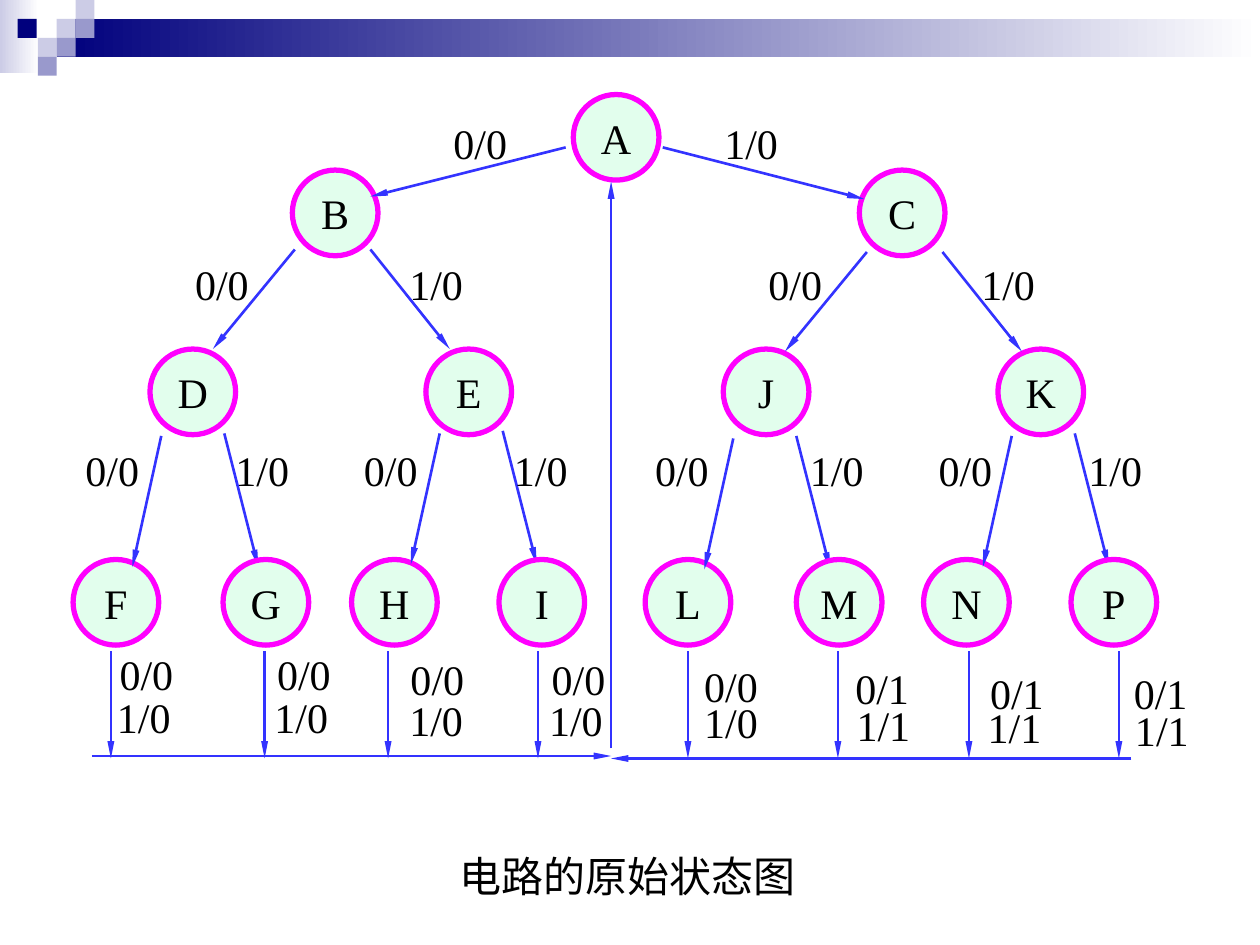
from lxml.etree import SubElement
from pptx import Presentation
from pptx.dml.color import RGBColor
from pptx.enum.shapes import MSO_CONNECTOR, MSO_SHAPE
from pptx.enum.text import MSO_ANCHOR, MSO_AUTO_SIZE, PP_ALIGN
from pptx.oxml.ns import qn
from pptx.util import Emu, Pt

PX = 9144
FONT = "Times New Roman"
COLORS = {
    "navy": "00007D", "lilac": "CCCCE6", "violet": "9999CC", "white": "FFFFFF",
    "mint": "E2FEED", "magenta": "FF00FF", "arrow": "3333FF", "text": "000000",
}
SQUARES = [
    (45, 15, "lilac"), (60, 0, "lilac"), (60, 15, "violet"), (30, 30, "lilac"),
    (14, 15, "navy"), (45, 30, "violet"), (30, 45, "violet"),
]
LEAF_Y = 444
NODES = {
    "A": (455, 75), "B": (232, 135), "C": (682, 135),
    "D": (119, 277), "E": (338, 277), "J": (574, 277), "K": (792, 277),
    "F": (58, LEAF_Y), "H": (279, LEAF_Y), "L": (512, LEAF_Y), "N": (733, LEAF_Y),
}
RIGHT_LEAVES = {"G": 177, "I": 396, "M": 632, "P": 850}
UPPER_FORKS = [(234, 198), (688, 200)]
LOWER_FORKS = [(128, 346), (349, 344), (582, 348), (803, 346)]
EXIT_XS = [88, 210, 308, 427, 546, 665, 769, 888]
BRANCH_LABELS = [
    (350, 565, 88, 62), (145, 315, 200, 70), (600, 769, 200, 70),
    (58, 177, 348, 62), (279, 398, 348, 62), (510, 633, 348, 62), (735, 854, 348, 62),
]
EXIT_LABELS = [
    (0, 85, 510, 83, 544, 62), (0, 210, 510, 208, 544, 62),
    (0, 316, 514, 315, 546, 70), (0, 428, 514, 426, 546, 70),
    (0, 549, 519, 549, 548, 70), (1, 669, 521, 670, 550, 70),
    (1, 776, 525, 774, 552, 70), (1, 890, 525, 891, 554, 70),
]


def px(*values):
    """Turn px lengths into EMU."""
    return [Emu(v * PX) for v in values]


def rgb(name):
    """Look up a colour by name."""
    return RGBColor.from_string(COLORS[name])


def write(tf, text, size=24, color="text", align=PP_ALIGN.LEFT, anchor=MSO_ANCHOR.TOP, wrap=False):
    """Put one formatted line of text in a text frame."""
    tf.word_wrap = wrap
    tf.vertical_anchor = anchor
    p = tf.paragraphs[0]
    p.alignment = align
    r = p.add_run()
    r.text = text
    r.font.size = Pt(size)
    r.font.name = FONT
    r.font.color.rgb = rgb(color)


def add_rect(s, x, y, w, h, color, fade=False):
    """Add a borderless rectangle, optionally fading to white."""
    sp = s.shapes.add_shape(MSO_SHAPE.RECTANGLE, *px(x, y, w, h))
    sp.shadow.inherit = False
    sp.line.fill.background()
    if fade:
        sp.fill.gradient()
        sp.fill.gradient_angle = 0
        for stop, position, name in zip(sp.fill.gradient_stops, (0, 1), (color, "white")):
            stop.position = position
            stop.color.rgb = rgb(name)
    else:
        sp.fill.solid()
        sp.fill.fore_color.rgb = rgb(color)


def add_node(s, name, x, y):
    """Add a state circle."""
    sp = s.shapes.add_shape(MSO_SHAPE.OVAL, *px(x, y, 68, 68))
    sp.shadow.inherit = False
    sp.fill.solid()
    sp.fill.fore_color.rgb = rgb("mint")
    sp.line.color.rgb = rgb("magenta")
    sp.line.width = Pt(3)
    write(sp.text_frame, name, align=PP_ALIGN.CENTER, anchor=MSO_ANCHOR.MIDDLE)


def add_arrow(s, x1, y1, x2, y2):
    """Add a straight arrow."""
    cn = s.shapes.add_connector(MSO_CONNECTOR.STRAIGHT, *px(x1, y1, x2, y2))
    cn.line.color.rgb = rgb("arrow")
    cn.line.width = Pt(1.5)
    SubElement(cn.line._get_or_add_ln(), qn("a:tailEnd"), type="triangle", w="sm", len="lg")
    SubElement(cn._element.spPr, qn("a:effectLst"))


def add_label(s, text, x, y, w):
    """Add a one-line text box."""
    tf = s.shapes.add_textbox(*px(x, y, w, 50)).text_frame
    tf.auto_size = MSO_AUTO_SIZE.SHAPE_TO_FIT_TEXT
    tf.margin_right = 0
    write(tf, text, wrap=True)


def add_banner(s):
    """Draw the gradient bar and its squares."""
    add_rect(s, 0, 0, 31, 58, "lilac", fade=True)
    add_rect(s, 45, 15, 955, 30, "navy", fade=True)
    for x, y, color in SQUARES:
        add_rect(s, x, y, 15, 15, color)


def add_transitions(s):
    """Draw the arrows between states and back to the start."""
    add_arrow(s, 449, 117, 294, 156)
    add_arrow(s, 526, 117, 686, 158)
    for x, y in UPPER_FORKS:
        add_arrow(s, x, y, x - 65, y + 79)
        add_arrow(s, x + 60, y, x + 123, y + 79)
    for x, y in LOWER_FORKS:
        add_arrow(s, x, y, x - 23, y + 104)
        add_arrow(s, x + 50, y - 2, x + 77, y + 104)
    for x in EXIT_XS:
        add_arrow(s, x, 517, x, 602)
    add_arrow(s, 485, 594, 485, 144)
    add_arrow(s, 73, 600, 485, 600)
    add_arrow(s, 898, 602, 485, 602)


def add_labels(s):
    """Write the input/output labels."""
    for left, right, y, right_w in BRANCH_LABELS:
        add_label(s, "0/0", left, y, 62)
        add_label(s, "1/0", right, y, right_w)
    for out, x0, y0, x1, y1, w in EXIT_LABELS:
        add_label(s, f"0/{out}", x0, y0, w)
        add_label(s, f"1/{out}", x1, y1, w)


def main():
    """Build the state diagram slide."""
    prs = Presentation()
    prs.slide_width, prs.slide_height = px(1000, 750)
    s = prs.slides.add_slide(prs.slide_layouts[6])
    add_banner(s)
    for name, (x, y) in NODES.items():
        add_node(s, name, x, y)
    add_transitions(s)
    for name, x in RIGHT_LEAVES.items():
        add_node(s, name, x, LEAF_Y)
    add_labels(s)
    add_label(s, "电路的原始状态图", 355, 670, 287)
    prs.save("out.pptx")


if __name__ == "__main__":
    main()
